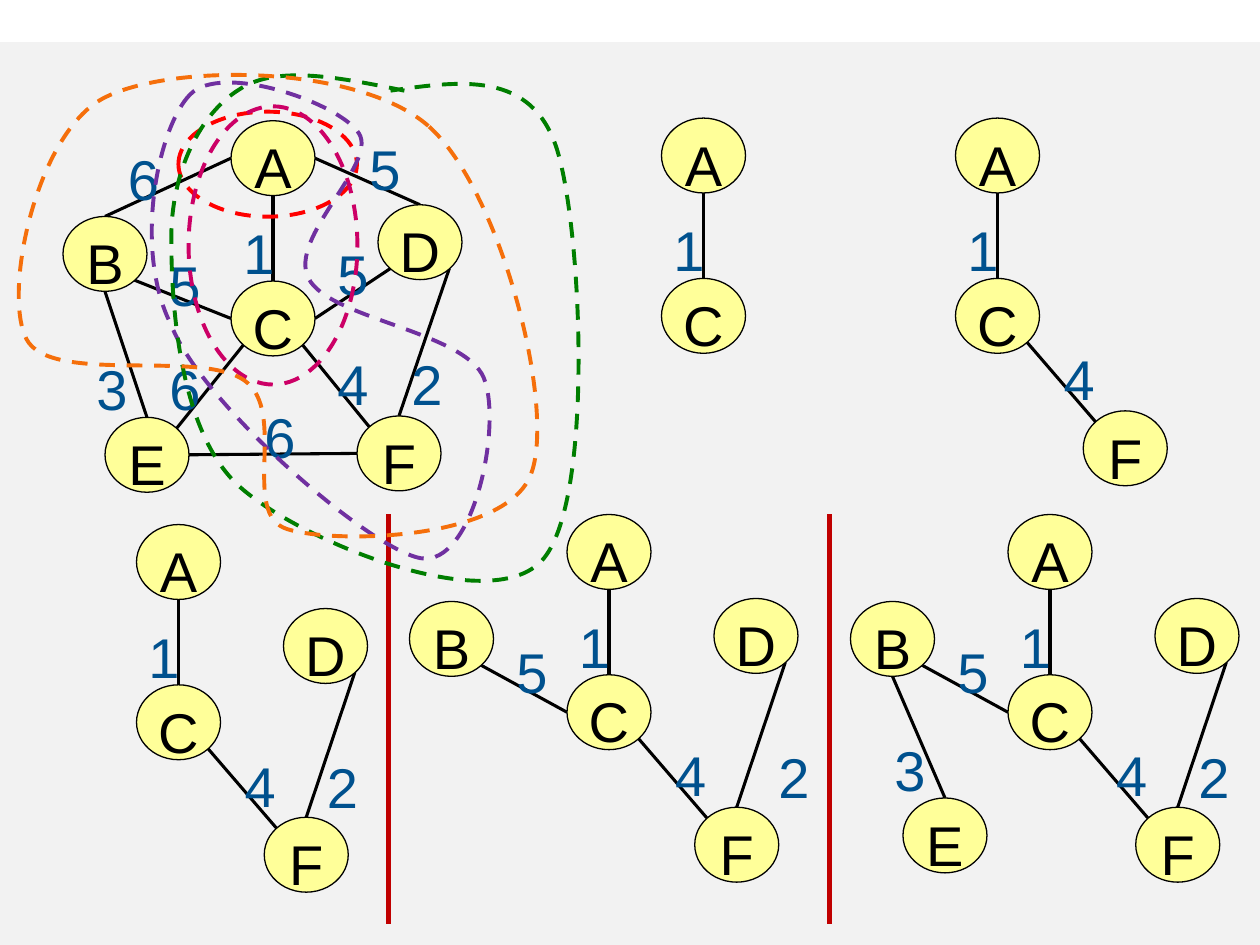
from dataclasses import dataclass

from lxml import etree
from pptx import Presentation
from pptx import util as u
from pptx.dml.color import RGBColor
from pptx.enum import dml, shapes, text
from pptx.oxml import ns

Pt = u.Pt


@dataclass(frozen=True)
class Theme:
    panel: str = "F2F2F2"
    node: str = "FFFF99"
    ink: str = "000000"
    weight: str = "00518E"
    divider: str = "C00000"
    cut_a: str = "FF0000"
    cut_ac: str = "CC0066"
    cut_acf: str = "7030A0"
    cut_acfd: str = "007E00"
    cut_acfdb: str = "F56F0B"
    font: str = "Arial"
    size: float = 32
    spacing: float = 1.25
    outline: float = 0.75
    edge: float = 1.75
    rule: float = 2.5
    cut: float = 2.25


T = Theme()
NODE_W, NODE_H = 48, 42.8
LABEL_W, LABEL_H = 54, 51

# Points on a node, as fractions of its box
ANCHORS = {"t": (0.5, 0), "b": (0.5, 1), "l": (0, 0.5), "r": (1, 0.5),
           "tl": (0.15, 0.15), "tr": (0.85, 0.15),
           "bl": (0.15, 0.85), "br": (0.85, 0.85)}

# Edge: weight and the anchors it joins
EDGES = {"AB": ("6", "l", "t"), "AC": ("1", "b", "t"), "AD": ("5", "r", "t"),
         "BC": ("5", "br", "l"), "BE": ("3", "b", "t"), "CD": ("5", "r", "bl"),
         "CE": ("6", "bl", "tr"), "CF": ("4", "br", "tl"),
         "DF": ("2", "br", "t"), "EF": ("6", "r", "l")}

# Node and label offsets from the box of node A
GRAPH_NODES = {"A": (0, 0), "B": (-96, 54.7), "C": (0, 91.6), "D": (84, 48),
               "E": (-72, 169.5), "F": (72, 168.7)}
GRAPH_LABELS = {"AB": (-66, 0.7), "AC": (0, 43), "AD": (72, -5),
                "BC": (-42.3, 61), "BE": (-84, 120.6), "CD": (53.7, 55),
                "CE": (-42.3, 120.6), "CF": (53.7, 117.5),
                "DF": (96, 117.5), "EF": (12, 148)}
TREE_NODES = {"A": (0, 0), "B": (-90, 49.7), "C": (0, 91.6), "D": (84, 48),
              "E": (-60, 162), "F": (73, 167.3)}
TREE_LABELS = {"AC": (-0.3, 42.7), "BC": (-36, 57), "BE": (-72, 113),
               "CF": (54.7, 116.3), "DF": (101.7, 117)}

# Growing trees: place of node A, edges so far, moved labels
TREES = [
    (378, 67.5, ["AC"], {}),
    (546, 67.5, ["AC", "CF"], {}),
    (78, 299.75, ["AC", "CF", "DF"], {}),
    (324, 294, ["AC", "CF", "DF", "BC"], {"DF": (113.7, 117)}),
    (576, 294, ["AC", "CF", "DF", "BC", "BE"], {}),
]

# Cut outlines: colour, start, curves (two controls and an end), closed
CUTS = [
    (T.cut_acf, (108.7, 54), [
        (90.7, 72, 75.6, 141.8, 97.9, 185.8),
        (115.2, 230.4, 211, 313.9, 240.5, 319),
        (270.7, 324, 287.3, 242.6, 276.5, 216),
        (265.7, 189.4, 187.9, 182.2, 176.4, 159.1),
        (164.2, 136.1, 216, 93.6, 205.2, 76.3),
        (194.4, 59, 126.7, 35.3, 108.7, 54)], True),
    (T.cut_acfd, (231.1, 51.8), [
        (195.1, 44.6, 158.4, 36.7, 136.8, 51.1),
        (114.5, 64.8, 97.9, 97.9, 97.9, 136.1),
        (97.9, 173.5, 102.2, 247.7, 137.5, 278.6),
        (172.8, 309.6, 279.4, 352.8, 309.6, 320.4),
        (339.8, 288, 332.6, 130.3, 318.2, 85),
        (303.8, 40.3, 263.5, 46.1, 223.2, 51.8)], False),
    (T.cut_acfdb, (244.8, 72), [
        (204.5, 36.7, 97.2, 36, 59, 56.2),
        (20.9, 76.3, 1.4, 167, 15.1, 193.7),
        (28.8, 220.3, 114.5, 199.4, 139.7, 217.4),
        (164.9, 235.4, 136.8, 293.8, 164.2, 302.4),
        (191.5, 311, 290.9, 308.9, 303.8, 270),
        (317.5, 231.1, 285.8, 108, 244.8, 72)], True),
]


def style(sp, fill=None, line=None, width=T.outline, dash=None):
    sp.shadow.inherit = False
    if fill:
        sp.fill.solid()
        sp.fill.fore_color.rgb = RGBColor.from_string(fill)
    else:
        sp.fill.background()
    if line:
        stroke(sp, line, width, dash)
    else:
        sp.line.fill.background()


def stroke(sp, color, width, dash=None):
    sp.line.color.rgb = RGBColor.from_string(color)
    sp.line.width = Pt(width)
    if dash:
        sp.line.dash_style = dash


def add_line(s, start, end, color, width):
    sp = s.shapes.add_connector(shapes.MSO_CONNECTOR.STRAIGHT,
                                *map(Pt, (*start, *end)))
    stroke(sp, color, width)
    etree.SubElement(sp._element.spPr, ns.qn("a:effectLst"))


def add_text(sp, words, color, align, frame):
    tf = sp.text_frame
    for name, value in frame.items():
        setattr(tf, name, value)
    p = tf.paragraphs[0]
    p.alignment, p.line_spacing = align, T.spacing
    r = p.add_run()
    r.text = words
    for name, value in {"name": T.font, "size": Pt(T.size)}.items():
        setattr(r.font, name, value)
    r.font.color.rgb = RGBColor.from_string(color)


def add_graph(s, left, top, edges, nodes, labels):
    """Draw the edges, their end nodes and weights; node A is at left, top."""
    def anchor(node, side):
        (x, y), (fx, fy) = nodes[node], ANCHORS[side]
        return left + x + fx * NODE_W, top + y + fy * NODE_H

    for edge in edges:
        _, start, end = EDGES[edge]
        add_line(s, anchor(edge[0], start), anchor(edge[1], end), T.ink, T.edge)

    for name in sorted(set("".join(edges))):
        x, y = nodes[name]
        sp = s.shapes.add_shape(shapes.MSO_SHAPE.OVAL,
                                *map(Pt, (left + x, top + y, NODE_W, NODE_H)))
        style(sp, T.node, T.ink)
        add_text(sp, name, T.ink, text.PP_ALIGN.CENTER,
                 {"word_wrap": False, "vertical_anchor": text.MSO_ANCHOR.MIDDLE})

    for edge in edges:
        x, y = labels[edge]
        sp = s.shapes.add_textbox(*map(Pt, (left + x, top + y, LABEL_W, LABEL_H)))
        add_text(sp, EDGES[edge][0], T.weight, text.PP_ALIGN.LEFT,
                 {"word_wrap": True,
                  "auto_size": text.MSO_AUTO_SIZE.SHAPE_TO_FIT_TEXT})


def add_curve(s, left, top, start, curves, closed):
    """Build an outline through all points, then join each three as a curve."""
    fb = s.shapes.build_freeform(Pt(left + start[0]), Pt(top + start[1]))
    fb.add_line_segments([(Pt(left + c[i]), Pt(top + c[i + 1]))
                          for c in curves for i in (0, 2, 4)], close=closed)
    sp = fb.convert_to_shape()
    lines = list(sp._element.iter(ns.qn("a:lnTo")))
    for i in range(0, len(lines), 3):
        curve = etree.Element(ns.qn("a:cubicBezTo"))
        lines[i].addprevious(curve)
        for line in lines[i:i + 3]:
            curve.append(line[0])
            line.getparent().remove(line)
    return sp


def add_cuts(s, left, top):
    """Draw the dashed cut around each set of reached nodes."""
    dash = dml.MSO_LINE.DASH
    for color, x, y, w, h, turn in [(T.cut_a, 102, 63.8, 102, 60, 0),
                                    (T.cut_ac, 76.5, 92, 159, 96.5, 90)]:
        sp = s.shapes.add_shape(shapes.MSO_SHAPE.OVAL,
                                *map(Pt, (left + x, top + y, w, h)))
        sp.rotation = turn
        style(sp, None, color, T.cut, dash)
    for color, start, curves, closed in CUTS:
        sp = add_curve(s, left, top, start, curves, closed)
        style(sp, None, color, T.cut, dash)


def add_panel(s, left, top, width, height):
    sp = s.shapes.add_shape(shapes.MSO_SHAPE.RECTANGLE,
                            *map(Pt, (left, top, width, height)))
    style(sp, T.panel)


def main():
    prs = Presentation()
    prs.slide_width, prs.slide_height = Pt(720), Pt(540)
    s = prs.slides.add_slide(prs.slide_layouts[6])

    add_panel(s, 0, 24, 720, 516)
    # Full graph
    add_graph(s, 132, 69, EDGES, GRAPH_NODES, GRAPH_LABELS)
    # Tree after each step
    for left, top, edges, moved in TREES:
        add_graph(s, left, top, edges, TREE_NODES, {**TREE_LABELS, **moved})
    # Dividers of the lower row
    for x in (222, 474):
        add_line(s, (x, 294), (x, 528), T.divider, T.rule)
    add_cuts(s, 0, 0)

    prs.save("out.pptx")


if __name__ == "__main__":
    main()
